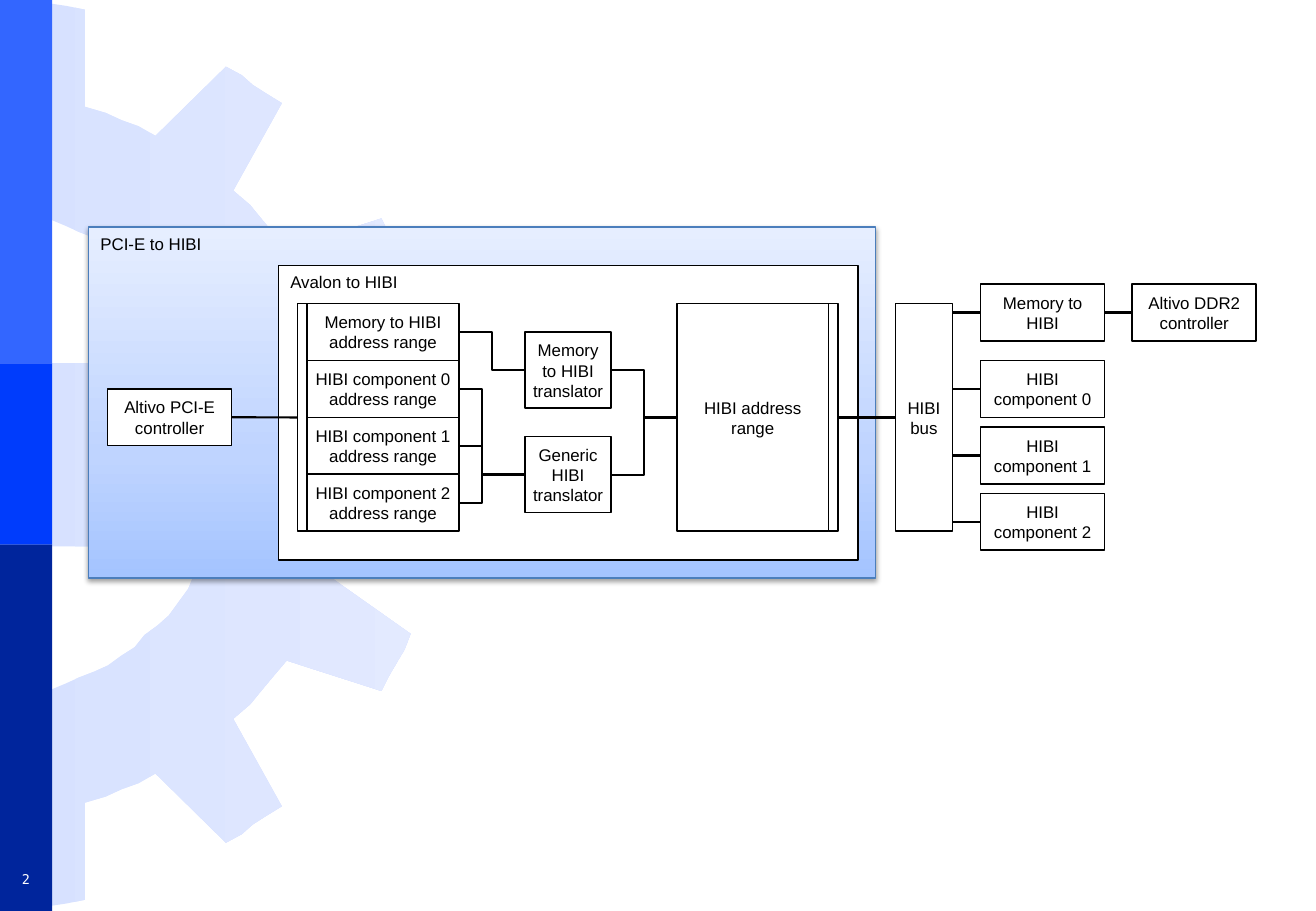
import collections
import copy
import lxml.etree
import pptx
import pptx.dml.color
import pptx.enum.shapes
import pptx.enum.text
import pptx.oxml.ns
import pptx.util

Cm = pptx.util.Cm
Pt = pptx.util.Pt
qn = pptx.oxml.ns.qn
SHAPE = pptx.enum.shapes.MSO_SHAPE
CONNECTOR = pptx.enum.shapes.MSO_CONNECTOR
ALIGN = pptx.enum.text.PP_ALIGN
ANCHOR = pptx.enum.text.MSO_ANCHOR

Box = collections.namedtuple("Box", "left top width height")

ROW = 1.19
BAR = 0.2
BLOCK = 3.17
UNIT = 2.59
LEFT_SITE, RIGHT_SITE = 1, 3

GEAR_UPPER_HALF = [
    (0, 299), (173, 299), (167, 286), (160, 276), (155, 264), (147, 253), (139, 242),
    (130, 234), (119, 226), (111, 216), (100, 209), (89, 201), (78, 196), (65, 191),
    (54, 186), (42, 181), (28, 180), (14, 176), (14, 0), (29, 1), (42, 3), (55, 5),
    (70, 8), (70, 88), (87, 93), (100, 99), (114, 104), (128, 112), (186, 55),
    (199, 62), (208, 70), (219, 77), (232, 85), (192, 157), (206, 169), (215, 180),
    (225, 192), (236, 205), (314, 180), (320, 192), (327, 204), (333, 214), (338, 227),
    (273, 273), (275, 291), (281, 305), (283, 320), (286, 334), (367, 347), (370, 359),
]
GEAR_HEIGHT = 749


def color(hex_value):
    return pptx.dml.color.RGBColor.from_string(hex_value)


def inside(box, left, top, width, height):
    return Box(box.left + left, box.top + top, width, height)


def fill_gradient(shape, stops, angle):
    shape.fill.gradient()
    stop_list = shape.element.spPr.find(".//" + qn("a:gsLst"))
    while len(stop_list) < len(stops):
        stop_list.append(copy.deepcopy(stop_list[0]))
    for stop, (position, hex_value) in zip(shape.fill.gradient_stops, stops):
        stop.position = position
        stop.color.rgb = color(hex_value)
    shape.fill.gradient_angle = angle


def write(shape, text, align, anchor, margins, size=10, font="Arial", ink="000000"):
    frame = shape.text_frame
    frame.word_wrap = True
    frame.vertical_anchor = anchor
    frame.margin_left = frame.margin_right = Cm(margins[0])
    frame.margin_top = frame.margin_bottom = Cm(margins[1])
    paragraph = frame.paragraphs[0]
    paragraph.text = text
    paragraph.alignment = align
    paragraph.font.size = Pt(size)
    paragraph.font.name = font
    paragraph.font.color.rgb = color(ink)


def add_rectangle(slide, box, fill="FFFFFF", line="000000", line_width=1):
    shape = slide.shapes.add_shape(SHAPE.RECTANGLE, *map(Cm, box))
    shape.shadow.inherit = False
    shape.fill.solid()
    shape.fill.fore_color.rgb = color(fill)
    if line:
        shape.line.color.rgb = color(line)
        shape.line.width = Pt(line_width)
    else:
        shape.line.fill.background()
    return shape


def add_block(slide, box, text):
    shape = add_rectangle(slide, box)
    write(shape, text, ALIGN.CENTER, ANCHOR.MIDDLE, (0.1, 0))
    return shape


def add_panel(slide, box, title, line="000000"):
    shape = add_rectangle(slide, box, line=line, line_width=0.75)
    write(shape, title, ALIGN.LEFT, ANCHOR.TOP, (0.25, 0.13))
    return shape


def link(slide, source, target, bend=None, level=False):
    kind = CONNECTOR.STRAIGHT if bend is None else CONNECTOR.ELBOW
    middle = target.top + target.height // 2
    connector = slide.shapes.add_connector(
        kind, source.left + source.width, middle, target.left, middle)
    if not level:
        connector.begin_connect(source, RIGHT_SITE)
    connector.end_connect(target, LEFT_SITE)
    connector.line.color.rgb = color("000000")
    connector.line.width = Pt(1.25)
    properties = connector.element.spPr
    lxml.etree.SubElement(properties, qn("a:effectLst"))
    if bend is not None:
        guides = properties.find(".//" + qn("a:avLst"))
        lxml.etree.SubElement(guides, qn("a:gd"), name="adj1", fmla=f"val {round(bend * 100000)}")


def add_gear(slide, box):
    lower_half = [(x, GEAR_HEIGHT - y) for x, y in reversed(GEAR_UPPER_HALF)]
    points = GEAR_UPPER_HALF + lower_half
    builder = slide.shapes.build_freeform(*points[0], scale=Cm(box.height) / GEAR_HEIGHT)
    builder.add_line_segments(points[1:], close=True)
    gear = builder.convert_to_shape(Cm(box.left), Cm(box.top))
    gear.shadow.inherit = False
    gear.line.fill.background()
    fill_gradient(gear, [(0, "D7E1FF"), (1, "E3EAFF")], 0)


def add_side_band(slide, box, number):
    bands = [(0, 7.6, "3366FF"), (7.6, 11.39, "003CFC"), (11.39, box.height, "00259C")]
    for top, bottom, fill in bands:
        add_rectangle(slide, inside(box, 0, top, box.width, bottom - top), fill, None)
    label = slide.shapes.add_textbox(
        *map(Cm, inside(box, 0, box.height - 0.99, box.width, 0.66)))
    write(label, number, ALIGN.CENTER, ANCHOR.MIDDLE, (0.25, 0.13), 8, "DejaVu Sans Mono", "FFFFFF")


def add_address_translation(slide, box):
    add_panel(slide, box, "Avalon to HIBI")
    top = 0.79
    names = ["Memory to HIBI"] + [f"HIBI component {index}" for index in range(3)]
    entry = add_rectangle(slide, inside(box, 0.4, top, BAR, 4 * ROW))
    ranges = [
        add_block(slide, inside(box, 0.6, top + row * ROW, BLOCK, ROW), f"{name} address range")
        for row, name in enumerate(names)]
    memory, generic = [
        add_block(slide, inside(box, 5.16, translator_top, 1.79, 1.59), f"{name} translator")
        for translator_top, name in [(1.39, "Memory to HIBI"), (3.57, "Generic HIBI")]]
    output = add_block(slide, inside(box, 8.33, top, BLOCK, 4 * ROW), "HIBI address range")
    leaving = add_rectangle(slide, inside(box, 8.33 + BLOCK, top, BAR, 4 * ROW))
    link(slide, ranges[0], memory, 0.5)
    for component_range in ranges[1:]:
        link(slide, component_range, generic, 0.345)
    for translator in (memory, generic):
        link(slide, translator, output, 0.5)
    return entry, leaving


def add_bridge(slide, box):
    panel = add_panel(slide, box, "PCI-E to HIBI", "4B7EBC")
    fill_gradient(panel, [(0, "A4C4FF"), (0.35, "BFD4FF"), (1, "E6EEFF")], 90)
    effects = panel.element.spPr.find(qn("a:effectLst"))
    shadow = lxml.etree.SubElement(
        effects, qn("a:outerShdw"), blurRad=str(Pt(3.1)), dist=str(Pt(1.6)),
        dir="5400000", rotWithShape="0")
    shade = lxml.etree.SubElement(shadow, qn("a:srgbClr"), val="000000")
    lxml.etree.SubElement(shade, qn("a:alpha"), val="38000")
    controller = add_block(slide, inside(box, 0.4, 3.38, UNIT, ROW), "Altivo PCI-E controller")
    entry, leaving = add_address_translation(slide, inside(box, 3.97, 0.81, 12.12, 6.15))
    link(slide, controller, entry)
    return leaving


def add_bus(slide, box):
    bus = add_block(slide, inside(box, 0, 0.41, ROW, 4 * ROW), "HIBI bus")
    tops = [0, 1.6, 2.99, 4.38]
    names = ["Memory to HIBI"] + [f"HIBI component {index}" for index in range(3)]
    units = [add_block(slide, inside(box, 1.78, top, UNIT, ROW), name)
             for top, name in zip(tops, names)]
    for unit in units:
        link(slide, bus, unit, level=True)
    memory_controller = add_block(
        slide, inside(box, box.width - UNIT, 0, UNIT, ROW), "Altivo DDR2 controller")
    link(slide, units[0], memory_controller)
    return bus


presentation = pptx.Presentation()
presentation.slide_width = Cm(27.51)
presentation.slide_height = Cm(19.05)
slide = presentation.slides.add_slide(presentation.slide_layouts[6])
add_gear(slide, Box(0, 0, 9.4, 19.02))
add_side_band(slide, Box(0, 0, 1.09, 19.05), "2")
bridge_output = add_bridge(slide, Box(1.85, 4.75, 16.46, 7.34))
hibi_bus = add_bus(slide, Box(18.72, 5.94, 7.54, 5.57))
link(slide, bridge_output, hibi_bus)
presentation.save("out.pptx")
